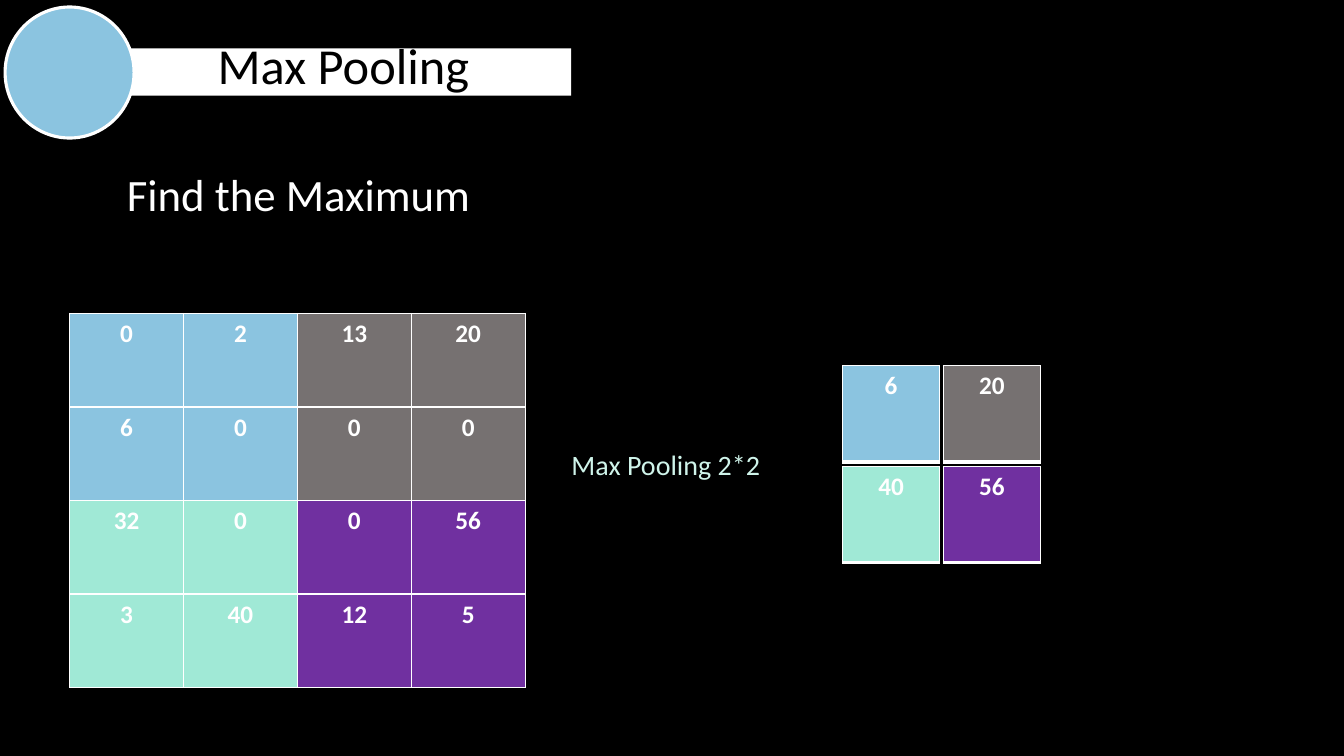
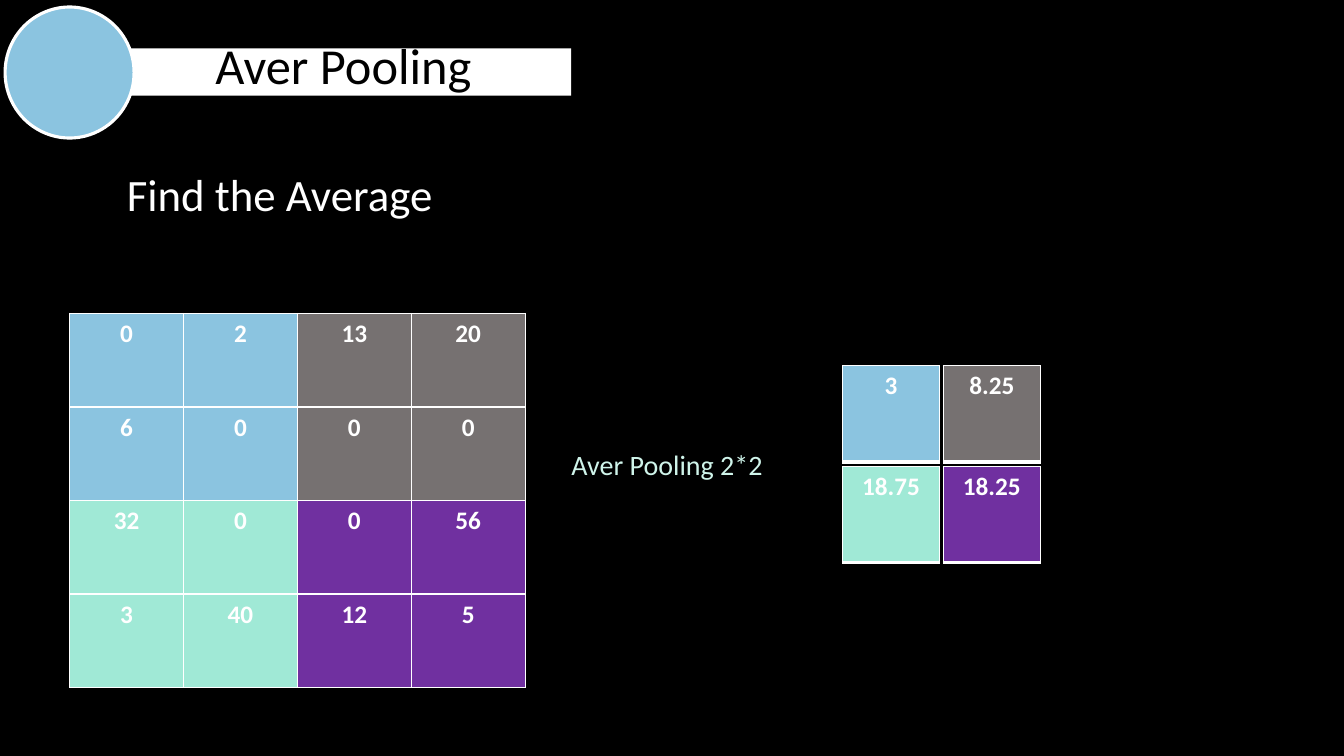
"""Build two slides that explain max pooling and average pooling."""
import pptx
import pptx.util
import pptx.dml.color
import pptx.enum.shapes
import pptx.enum.text
import pptx.oxml
import pptx.oxml.ns

BLACK, WHITE, BLUE, PALE = "000000", "FFFFFF", "8BC4E0", "CFF4EA"
QUADRANTS = [[BLUE, "767171"], ["A0E9D6", "7030A0"]]
MATRIX = [[0, 2, 13, 20], [6, 0, 0, 0], [32, 0, 0, 56], [3, 40, 12, 5]]
POOLINGS = [
    ("Max Pooling", "Find the Maximum", [["6", "20"], ["40", "56"]]),
    ("Aver Pooling", "Find the Average", [["3", "8.25"], ["18.75", "18.25"]]),
]

deck = pptx.Presentation()
deck.slide_width = pptx.util.Inches(13.33)
deck.slide_height = pptx.util.Inches(7.5)
COLUMN, ROW = deck.slide_width / 100, deck.slide_height / 100


def style(item, colour, size=None, bold=False):
    """Give a fill a solid colour, or a font its colour, face, size and weight."""
    if size is None:
        item.solid()
        item.fore_color.rgb = pptx.dml.color.RGBColor.from_string(colour)
    else:
        item.color.rgb = pptx.dml.color.RGBColor.from_string(colour)
        item.name, item.size, item.bold = "Calibri", pptx.util.Pt(size), bold


def add_matrix(page, place, values, colours, bottom):
    """Add a table of centred values with white borders, the lowest of a given weight."""
    frame = page.shapes.add_table(len(values), len(values[0]), *place)
    table = frame.table
    table.first_row = table.horz_banding = False
    for row, line in enumerate(values):
        for column, value in enumerate(line):
            cell = table.cell(row, column)
            cell.text_frame.text = str(value)
            para = cell.text_frame.paragraphs[0]
            para.alignment = pptx.enum.text.PP_ALIGN.CENTER
            style(para.runs[0].font, WHITE, 18, True)
            style(cell.fill, colours[row][column])
            properties = cell._tc.get_or_add_tcPr()
            for index, (side, weight) in enumerate(zip("LRTB", (1, 1, 1, bottom))):
                border = pptx.oxml.parse_xml(
                    f'<a:ln{side} {pptx.oxml.ns.nsdecls("a")} w="{pptx.util.Pt(weight)}">'
                    f'<a:solidFill><a:srgbClr val="{WHITE}"/></a:solidFill></a:ln{side}>')
                properties.insert(index, border)


for title, caption, pooled in POOLINGS:
    page = deck.slides.add_slide(deck.slide_layouts[6])
    style(page.background.fill, BLACK)

    for row, column in ((0, 0), (0, 1), (1, 0), (1, 1)):
        place = [round(length) for length in (
            (62.7 + 7.5 * column) * COLUMN, (48.4 + 13.33 * row) * ROW,
            7.2 * COLUMN, 12.67 * ROW)]
        add_matrix(page, place, [[pooled[row][column]]], [[QUADRANTS[row][column]]], 3)

    place = [round(length) for length in (
        5.18 * COLUMN, 41.47 * ROW, 33.9 * COLUMN, 49.47 * ROW)]
    colours = [[QUADRANTS[row // 2][column // 2] for column in range(4)] for row in range(4)]
    add_matrix(page, place, MATRIX, colours, 1)

    shapes = pptx.enum.shapes.MSO_SHAPE
    for kind, left, top, width, height, colour in (
            (shapes.RECTANGLE, 5, 6.4, 37.5, 6.27, WHITE),
            (shapes.FLOWCHART_CONNECTOR, 0.38, 0.93, 9.6, 17.33, BLUE)):
        shape = page.shapes.add_shape(kind, round(left * COLUMN), round(top * ROW),
                                      round(width * COLUMN), round(height * ROW))
        shape.shadow.inherit = False
        style(shape.fill, colour)
        if kind == shapes.RECTANGLE:
            shape.line.fill.background()
            shape.text_frame.text = title
            shape.text_frame.margin_left = round(4.35 * COLUMN)
            shape.text_frame.vertical_anchor = pptx.enum.text.MSO_ANCHOR.MIDDLE
            para = shape.text_frame.paragraphs[0]
            para.alignment = pptx.enum.text.PP_ALIGN.CENTER
            para.line_spacing = 0.7
            style(para.runs[0].font, BLACK, 36)
        else:
            style(shape.line.fill, WHITE)
            shape.line.width = pptx.util.Pt(2.25)

    for text, left, top, width, height, size, colour in (
            (caption, 8.7, 21.33, 34.8, 8.53, 32, WHITE),
            (f"{title} 2*2", 41.78, 58.53, 19.5, 5.87, 20, PALE)):
        box = page.shapes.add_textbox(round(left * COLUMN), round(top * ROW),
                                      round(width * COLUMN), round(height * ROW))
        box.text_frame.word_wrap = True
        box.text_frame.text = text
        style(box.text_frame.paragraphs[0].runs[0].font, colour, size)

deck.save("out.pptx")
